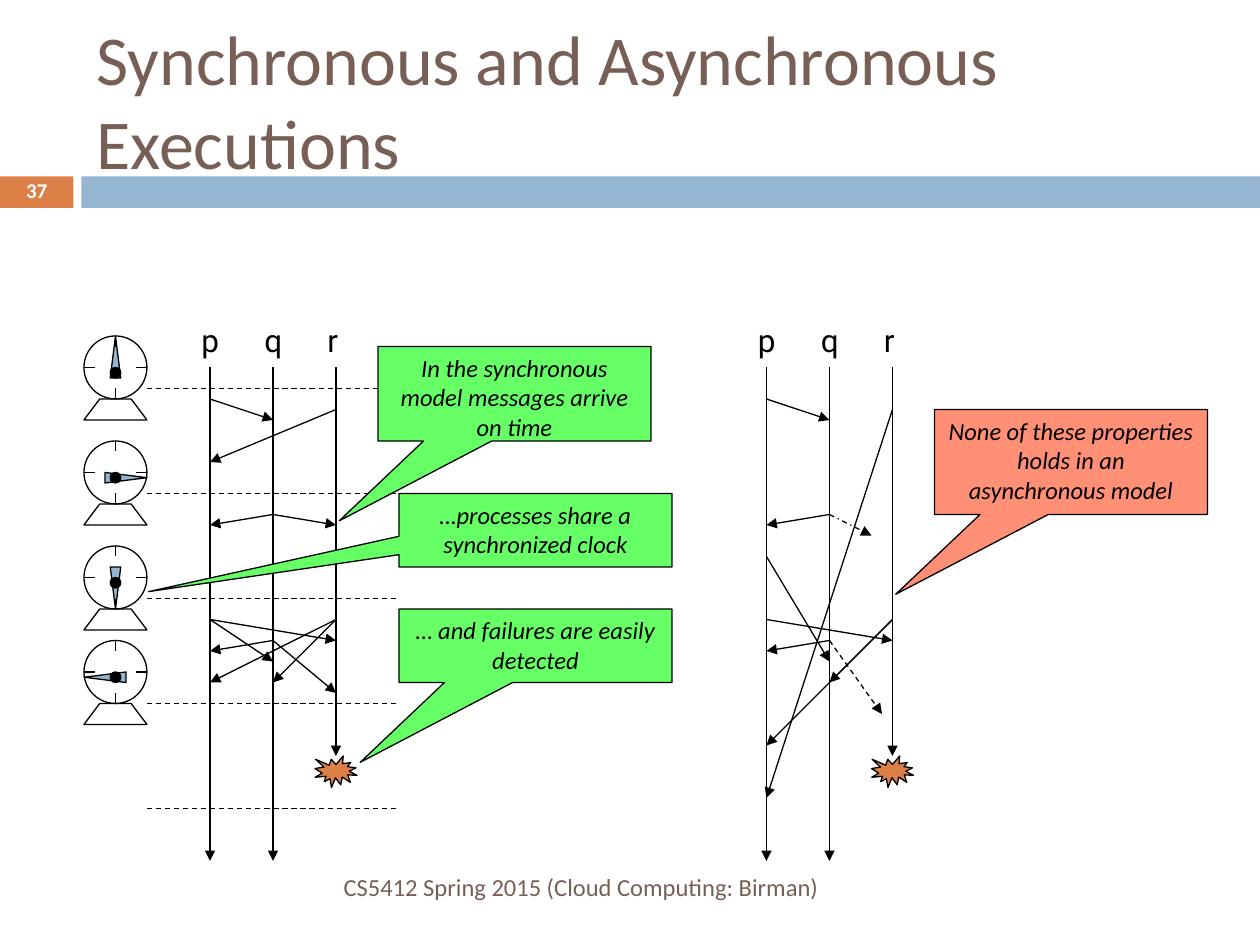
from lxml import etree
from pptx import Presentation
from pptx import util as u
from pptx.dml.color import RGBColor
from pptx.enum import dml, shapes, text
from pptx.oxml.ns import qn

INK, BROWN, BLUE, ORANGE = "000000", "775F55", "94B6D2", "DD8047"
GREEN, SALMON, WHITE = "66FF66", "FF8F75", "FFFFFF"
SHAPE, DASH = shapes.MSO_SHAPE, dml.MSO_LINE
LEFT, CENTER, RIGHT = text.PP_ALIGN.LEFT, text.PP_ALIGN.CENTER, text.PP_ALIGN.RIGHT
TOP, MIDDLE = text.MSO_ANCHOR.TOP, text.MSO_ANCHOR.MIDDLE

# Horizontal offsets of the process timelines inside a diagram
P, Q, R = 0, 36, 72
SYNC_LEFT, ASYNC_LEFT = 120, 438

SYNC_MESSAGES = [
    (P, 228, Q, 240), (R, 234, P, 264), (Q, 294, P, 300), (Q, 294, R, 300),
    (P, 354, R, 366), (R, 354, P, 390), (Q, 366, P, 372), (P, 354, Q, 378),
    (Q, 366, R, 396), (R, 354, Q, 390),
]
ASYNC_MESSAGES = [
    (P, 228, Q, 240), (R, 234, P, 456), (Q, 294, P, 300),
    (Q, 294, 60, 306, DASH.DASH_DOT), (P, 354, R, 366), (R, 354, P, 426),
    (Q, 366, P, 372), (P, 318, Q, 378), (Q, 366, 66, 408, DASH.DASH),
    (R, 354, Q, 390),
]
# Clock top, hand centre relative to the hub axis and clock top, hand rotation
CLOCKS = [(192, 0, 12, 0), (252, 6, 21, 90), (312, 0, 24, 180), (366, -6, 21, 270)]
CALLOUTS = [
    (228, 282, 42, -1.417, 0.836, GREEN, "…processes share a synchronized clock"),
    (216, 198, 54, -0.642, 1.345, GREEN,
     "In the synchronous model messages arrive on time"),
    (228, 348, 42, -0.642, 1.586, GREEN, "… and failures are easily detected"),
    (534, 234, 60, -0.642, 1.26, SALMON,
     "None of these properties holds in an asynchronous model"),
]


def color(value):
    """Turn a hex string into a colour."""
    return RGBColor.from_string(value)


def style_shape(shape, fill=None, outline=INK):
    """Set fill and thin outline, and remove the shadow."""
    shape.shadow.inherit = False
    if fill:
        shape.fill.solid()
        shape.fill.fore_color.rgb = color(fill)
    else:
        shape.fill.background()
    if outline:
        shape.line.color.rgb = color(outline)
        shape.line.width = u.Pt(0.75)
    else:
        shape.line.fill.background()


def add_shape(page, kind, left, top, width, height, fill=None, outline=INK):
    """Add a styled preset shape."""
    shape = page.shapes.add_shape(
        kind, u.Pt(left), u.Pt(top), u.Pt(width), u.Pt(height))
    style_shape(shape, fill, outline)
    return shape


def add_line(page, x1, y1, x2, y2, dash=None, arrow=False):
    """Add a thin straight line, optionally dashed or with an arrowhead."""
    line = page.shapes.add_connector(
        shapes.MSO_CONNECTOR.STRAIGHT, u.Pt(x1), u.Pt(y1), u.Pt(x2), u.Pt(y2))
    line.line.color.rgb = color(INK)
    line.line.width = u.Pt(0.75)
    if dash:
        line.line.dash_style = dash
    properties = line.element.spPr
    if arrow:
        etree.SubElement(properties.find(qn("a:ln")), qn("a:tailEnd"), type="triangle")
    etree.SubElement(properties, qn("a:effectLst"))


def write(box, words, size, ink=INK, align=LEFT, anchor=TOP, name="Calibri",
          bold=False, italic=False):
    """Write one formatted paragraph into a shape."""
    frame = box.text_frame
    frame.text = words
    frame.word_wrap = True
    frame.auto_size = text.MSO_AUTO_SIZE.NONE
    frame.vertical_anchor = anchor
    para = frame.paragraphs[0]
    para.alignment = align
    font = para.runs[0].font
    font.name, font.size = name, u.Pt(size)
    font.bold, font.italic = bold, italic
    font.color.rgb = color(ink)
    return para


def add_text(page, left, top, width, height, words, size, **options):
    """Add a text box with one paragraph."""
    box = page.shapes.add_textbox(
        u.Pt(left), u.Pt(top), u.Pt(width), u.Pt(height))
    return write(box, words, size, **options)


def add_title(page, words):
    """Place and format the title placeholder."""
    title = page.shapes.title
    title.left, title.top = u.Pt(48), u.Pt(18)
    title.width, title.height = u.Pt(642), u.Pt(78)
    write(title, words, 40, ink=BROWN, anchor=MIDDLE)


def add_diagram(page, left, messages):
    """Draw three process timelines, their messages and the crash of r."""
    for name, offset, end in (("p", P, 492), ("q", Q, 492), ("r", R, 432)):
        x = left + offset
        add_line(page, x, 210, x, end, arrow=True)
        add_text(page, x - 12, 180, 24, 29, name, 18, name="Roboto")
    for start, y1, end, y2, *dash in messages:
        add_line(page, left + start, y1, left + end, y2, *dash, arrow=True)
    add_shape(page, SHAPE.EXPLOSION1, left + R - 12, 432, 24, 18, ORANGE)


def add_clock(page, top, hand_x, hand_y, angle):
    """Draw a clock on a stand with one hand."""
    left, middle, right, bottom = 48, 66, 84, top + 36
    add_shape(page, SHAPE.OVAL, left, top, 36, 36)
    builder = page.shapes.build_freeform(u.Pt(left), u.Pt(bottom + 12))
    corners = [(57, bottom), (75, bottom), (right, bottom + 12)]
    builder.add_line_segments([(u.Pt(x), u.Pt(y)) for x, y in corners], close=True)
    style_shape(builder.convert_to_shape())
    hand = add_shape(page, SHAPE.ISOSCELES_TRIANGLE,
                     middle + hand_x - 3, top + hand_y - 12, 6, 24, BLUE)
    hand.rotation = angle
    add_shape(page, SHAPE.OVAL, middle - 3, top + 18, 6, 6, INK)
    for x in (left, right - 6):
        add_line(page, x, top + 18, x + 6, top + 18)
    for y in (top, bottom - 6):
        add_line(page, middle, y, middle, y + 6)


def add_callout(page, left, top, height, tip_x, tip_y, fill, words):
    """Add a rectangular callout with its pointer."""
    callout = add_shape(page, SHAPE.RECTANGULAR_CALLOUT, left, top, 156, height, fill)
    callout.adjustments[0], callout.adjustments[1] = tip_x, tip_y
    write(callout, words, 14, align=CENTER, italic=True)


def main():
    """Build and save the deck."""
    deck = Presentation()
    deck.slide_width, deck.slide_height = u.Pt(720), u.Pt(540)
    page = deck.slides.add_slide(deck.slide_layouts[5])
    add_shape(page, SHAPE.RECTANGLE, 0, 100.8, 42, 18, ORANGE, None)
    add_shape(page, SHAPE.RECTANGLE, 46.5, 100.8, 673.5, 18, BLUE, None)
    add_title(page, "Synchronous and Asynchronous Executions")
    for tick in range(5):
        y = 222 + 60 * tick
        add_line(page, 84, y, 228, y, DASH.DASH)
    add_diagram(page, SYNC_LEFT, SYNC_MESSAGES)
    for clock in CLOCKS:
        add_clock(page, *clock)
    add_diagram(page, ASYNC_LEFT, ASYNC_MESSAGES)
    for callout in CALLOUTS:
        add_callout(page, *callout)
    add_text(page, 48, 492, 427, 29, "CS5412 Spring 2015 (Cloud Computing: Birman)", 14,
             ink=BROWN, align=RIGHT, anchor=MIDDLE)
    number = add_text(page, 0, 100, 42, 19.5, "37", 12, ink=WHITE, align=CENTER,
                      anchor=MIDDLE, bold=True)
    number.line_spacing = 0.8
    deck.save("out.pptx")


if __name__ == "__main__":
    main()
